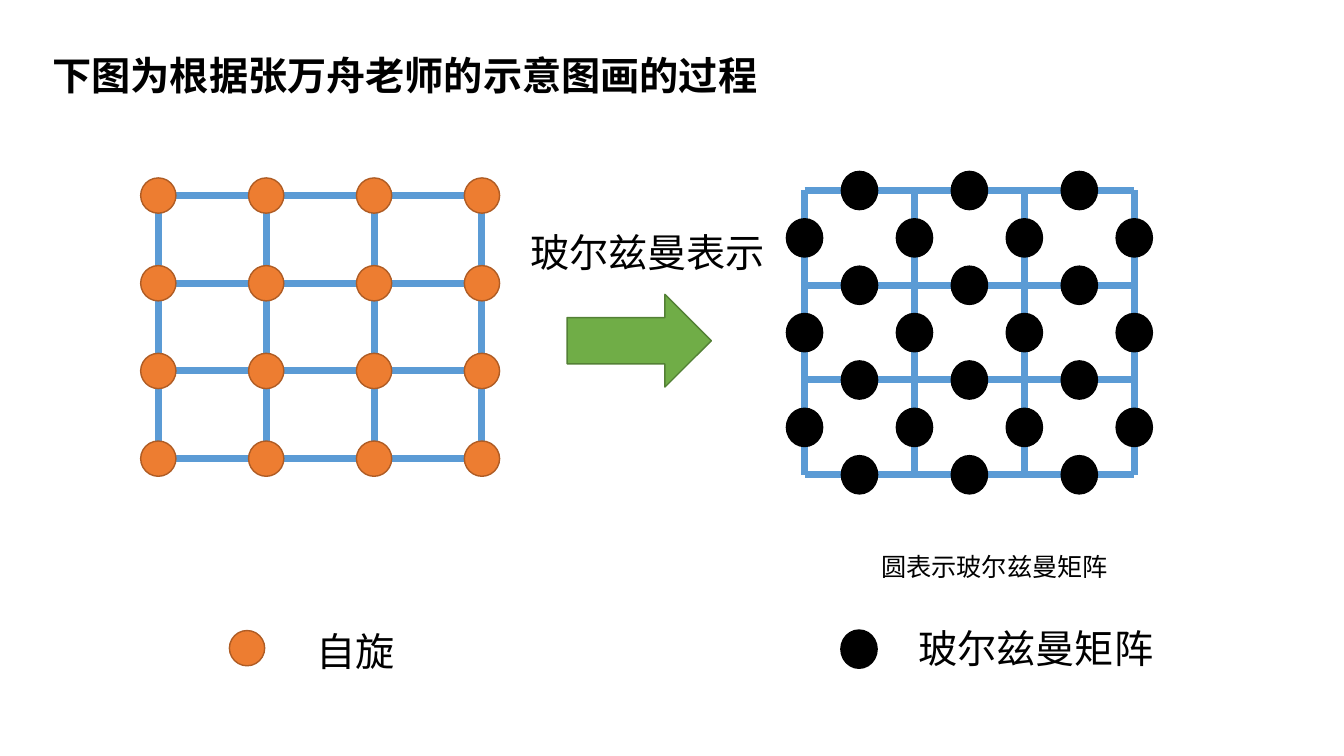
from lxml import etree
from pptx import Presentation
from pptx.dml.color import RGBColor
from pptx.enum.shapes import MSO_CONNECTOR, MSO_SHAPE
from pptx.enum.text import MSO_ANCHOR, MSO_AUTO_SIZE, PP_ALIGN
from pptx.oxml.ns import qn
from pptx.util import Inches, Pt

STRAIGHT = MSO_CONNECTOR.STRAIGHT
CIRCLE = MSO_SHAPE.OVAL
ARROW = MSO_SHAPE.DOWN_ARROW
FONT = "Noto Sans CJK SC"
COLORS = {
    "bond": "5B9BD5",
    "spin": "ED7D31",
    "spin_edge": "AF5C24",
    "matrix": "000000",
    "arrow": "70AD47",
    "arrow_edge": "538035",
    "text": "000000",
}
SPIN_SIZE = (0.35, 0.35)
MATRIX_SIZE = (0.36, 0.38)
NODES = 4
SPIN_GRID = {"left": 1.57, "top": 1.94, "column": 1.07, "row": 0.87}
MATRIX_GRID = {"left": 7.98, "top": 1.89, "column": 1.09, "row": 0.94}

prs = Presentation()
prs.slide_width = Inches(13.33)
prs.slide_height = Inches(7.5)
slide = prs.slides.add_slide(prs.slide_layouts[5])
shapes = slide.shapes


def add_figure(kind, center, size, fill, edge):
    (x, y), (width, height) = center, size
    figure = shapes.add_shape(kind, Inches(x - width / 2), Inches(y - height / 2),
                              Inches(width), Inches(height))
    figure.shadow.inherit = False
    figure.fill.solid()
    figure.fill.fore_color.rgb = RGBColor.from_string(COLORS[fill])
    figure.line.color.rgb = RGBColor.from_string(COLORS[edge])
    figure.line.width = Pt(1)
    return figure


def write_text(box, text, left, top, width, height, size, bold=False):
    box.left, box.top = Inches(left), Inches(top)
    box.width, box.height = Inches(width), Inches(height)
    frame = box.text_frame
    frame.text = text
    frame.word_wrap = False
    frame.auto_size = MSO_AUTO_SIZE.SHAPE_TO_FIT_TEXT
    frame.vertical_anchor = MSO_ANCHOR.TOP
    paragraph = frame.paragraphs[0]
    paragraph.alignment = PP_ALIGN.LEFT
    font = paragraph.font
    font.name = FONT
    font.size = Pt(size)
    font.bold = bold
    font.color.rgb = RGBColor.from_string(COLORS["text"])
    run_properties = paragraph.runs[0].font._element
    etree.SubElement(run_properties, qn("a:ea")).set("typeface", FONT)


write_text(shapes.title, "下图为根据张万舟老师的示意图画的过程",
           0.42, 0.46, 7.27, 0.57, 28, True)

for grid in (SPIN_GRID, MATRIX_GRID):
    left, top = grid["left"], grid["top"]
    right = left + (NODES - 1) * grid["column"]
    bottom = top + (NODES - 1) * grid["row"]
    for step in range(NODES):
        x = left + step * grid["column"]
        y = top + step * grid["row"]
        for ends in ((x, top, x, bottom), (left, y, right, y)):
            bond = shapes.add_connector(STRAIGHT, *[Inches(end) for end in ends])
            bond.line.color.rgb = RGBColor.from_string(COLORS["bond"])
            bond.line.width = Pt(5)
            etree.SubElement(bond._element.spPr, qn("a:effectLst"))

for row in range(NODES):
    for column in range(NODES):
        spin_center = (SPIN_GRID["left"] + column * SPIN_GRID["column"],
                       SPIN_GRID["top"] + row * SPIN_GRID["row"])
        add_figure(CIRCLE, spin_center, SPIN_SIZE, "spin", "spin_edge")

for line in range(NODES):
    for gap in range(NODES - 1):
        for column, row in ((gap + 0.5, line), (line, gap + 0.5)):
            matrix_center = (MATRIX_GRID["left"] + column * MATRIX_GRID["column"],
                             MATRIX_GRID["top"] + row * MATRIX_GRID["row"])
            add_figure(CIRCLE, matrix_center, MATRIX_SIZE, "matrix", "matrix")

add_figure(CIRCLE, (2.45, 6.43), SPIN_SIZE, "spin", "spin_edge")
add_figure(CIRCLE, (8.52, 6.44), MATRIX_SIZE, "matrix", "matrix")
arrow = add_figure(ARROW, (6.34, 3.38), (0.92, 1.43), "arrow", "arrow_edge")
arrow.rotation = 270

for label in (
    ("自旋", 3.04, 6.17, 1.09, 0.57, 28),
    ("玻尔兹曼矩阵", 9.01, 6.14, 2.56, 0.57, 28),
    ("玻尔兹曼表示", 5.16, 2.22, 2.56, 0.57, 28),
    ("圆表示玻尔兹曼矩阵", 8.64, 5.42, 2.47, 0.4, 18),
):
    write_text(shapes.add_textbox(0, 0, 0, 0), *label)

prs.save("out.pptx")
